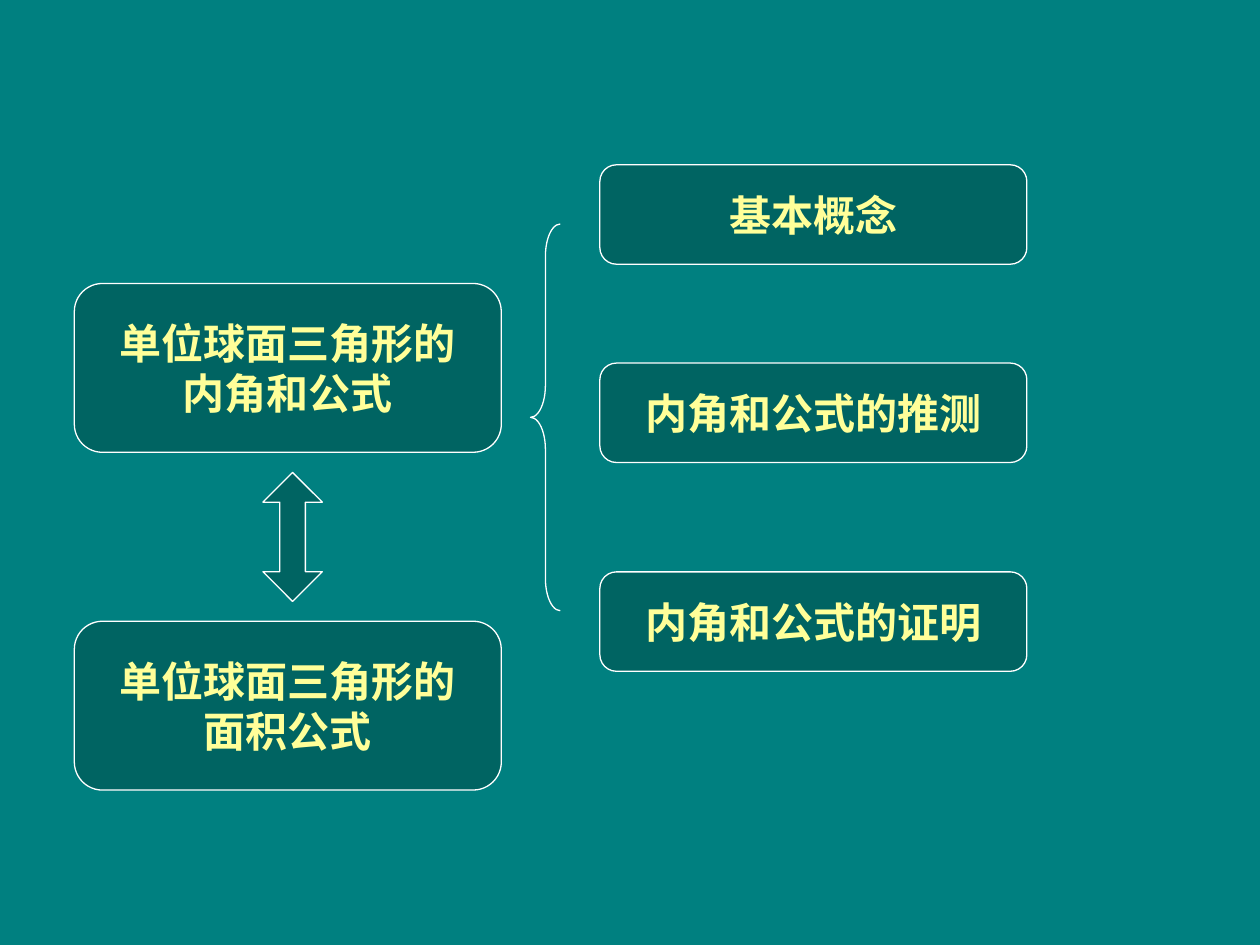
from dataclasses import dataclass

import pptx
import pptx.dml.color
import pptx.enum.shapes
import pptx.enum.text
import pptx.util

Pt = pptx.util.Pt
RGB = pptx.dml.color.RGBColor
SHAPE = pptx.enum.shapes.MSO_SHAPE


@dataclass
class Theme:
    background: RGB = RGB(0x00, 0x80, 0x80)
    panel: RGB = RGB(0x00, 0x64, 0x62)
    outline: RGB = RGB(0xFF, 0xFF, 0xFF)
    text: RGB = RGB(0xFF, 0xFF, 0x99)
    font: str = "Arial"
    text_size: int = 24
    line_width: float = 0.75


theme = Theme()

presentation = pptx.Presentation()
presentation.slide_width = Pt(720)
presentation.slide_height = Pt(540)
slide = presentation.slides.add_slide(presentation.slide_layouts[6])
slide.background.fill.solid()
slide.background.fill.fore_color.rgb = theme.background


def add_outlined(kind, left, top, width, height, filled=True):
    shape = slide.shapes.add_shape(kind, Pt(left), Pt(top), Pt(width), Pt(height))
    shape.shadow.inherit = False
    if filled:
        shape.fill.solid()
        shape.fill.fore_color.rgb = theme.panel
    else:
        shape.fill.background()
    shape.line.color.rgb = theme.outline
    shape.line.width = Pt(theme.line_width)
    return shape


def add_topic(left, top, height, lines):
    topic = add_outlined(SHAPE.FLOWCHART_ALTERNATE_PROCESS, left, top, topic_width, height)
    frame = topic.text_frame
    frame.word_wrap = False
    frame.vertical_anchor = pptx.enum.text.MSO_ANCHOR.MIDDLE
    frame.text = "\n".join(lines)
    for paragraph in frame.paragraphs:
        paragraph.alignment = pptx.enum.text.PP_ALIGN.CENTER
        paragraph.font.name = theme.font
        paragraph.font.size = Pt(theme.text_size)
        paragraph.font.bold = True
        paragraph.font.color.rgb = theme.text


topic_width = 244

# The two formulas on the left
for top, ending in ((162, "内角和公式"), (355, "面积公式")):
    add_topic(42.5, top, 96.5, ["单位球面三角形的", ending])

# Double arrow between the formulas
formula_link = add_outlined(SHAPE.UP_DOWN_ARROW, 150.2, 270, 34, 73.7)
formula_link.adjustments[0] = 0.5
formula_link.adjustments[1] = 0.43

# Brace opening onto the three steps
steps_brace = add_outlined(SHAPE.LEFT_BRACE, 303.2, 128, 17, 221, filled=False)
steps_brace.adjustments[0] = 1.08
steps_brace.adjustments[1] = 0.5

# The three steps on the right
for top, step in ((94.2, "基本概念"), (207.5, "内角和公式的推测"), (326.8, "内角和公式的证明")):
    add_topic(342.8, top, 56.8, [step])

presentation.save("out.pptx")
